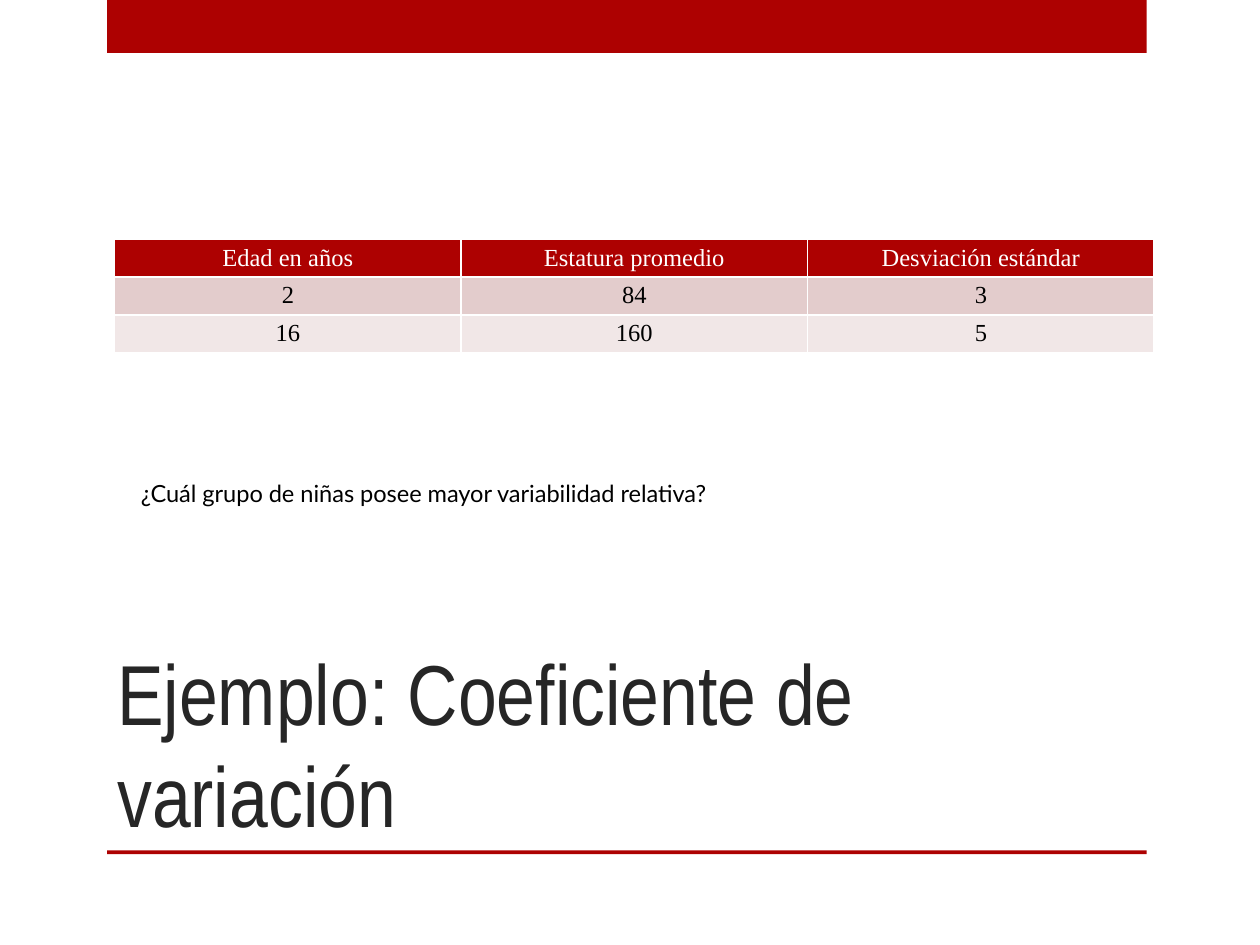
from lxml.etree import SubElement
from pptx import Presentation
from pptx.dml.color import RGBColor
from pptx.enum.shapes import MSO_SHAPE
from pptx.enum.text import MSO_ANCHOR, MSO_AUTO_SIZE, PP_ALIGN
from pptx.oxml.ns import qn
from pptx.util import Inches, Pt

WIDE, HIGH = 10, 7.5
LEFT, SPAN = 0.85, 8.25
RED, WHITE, BLACK = "AD0101", "FFFFFF", "000000"
BANDS = [RED, "E3CCCC", "F1E7E7"]
ROWS = [
    ["Edad en años", "Estatura promedio", "Desviación estándar"],
    ["2", "84", "3"],
    ["16", "160", "5"],
]


def tint(fill, color):
    fill.solid()
    fill.fore_color.rgb = RGBColor.from_string(color)


def write(frame, text, font, size, color=BLACK, align=PP_ALIGN.LEFT):
    frame.word_wrap = True
    line = frame.paragraphs[0]
    line.alignment = align
    run = line.add_run()
    run.text = text
    run.font.name = font
    run.font.size = Pt(size)
    run.font.bold = False
    tint(run.font.fill, color)


def add_bar(slide, top, tall):
    bar = slide.shapes.add_shape(
        MSO_SHAPE.RECTANGLE, Inches(LEFT), Inches(top), Inches(SPAN), Inches(tall))
    bar.shadow.inherit = False
    tint(bar.fill, RED)
    bar.line.fill.background()


def add_title(slide, text):
    title = slide.shapes.title
    title.left, title.top = Inches(0.83), Inches(HIGH * 2 / 3)
    title.width, title.height = Inches(7.42), Inches(1.75)
    frame = title.text_frame
    frame.auto_size = MSO_AUTO_SIZE.NONE
    frame.vertical_anchor = MSO_ANCHOR.BOTTOM
    write(frame, text, "Arial Narrow", 48.6, "262626")


def edge(cell):
    props = cell._tc.get_or_add_tcPr()
    for side in ("lnL", "lnR", "lnT", "lnB"):
        line = SubElement(props, qn(f"a:{side}"), w=str(Pt(1)))
        fill = SubElement(line, qn("a:solidFill"))
        SubElement(fill, qn("a:srgbClr"), val=WHITE)


def add_grid(slide, rows, left, top, tall):
    count = len(rows[0])
    grid = slide.shapes.add_table(
        len(rows), count, Inches(left), Inches(top),
        Inches(SPAN), Inches(tall * len(rows))).table
    for r, row in enumerate(rows):
        for c, text in enumerate(row):
            cell = grid.cell(r, c)
            cell.margin_left = cell.margin_right = Inches(0.07)
            cell.margin_top = cell.margin_bottom = Inches(0.04)
            edge(cell)
            tint(cell.fill, BANDS[r])
            write(cell.text_frame, text, "Times New Roman", 14,
                  BLACK if r else WHITE, PP_ALIGN.CENTER)


def add_note(slide, text, left, top, wide, tall):
    box = slide.shapes.add_textbox(
        Inches(left), Inches(top), Inches(wide), Inches(tall))
    write(box.text_frame, text, "Lato", 13.5)


def main():
    deck = Presentation()
    deck.slide_width, deck.slide_height = Inches(WIDE), Inches(HIGH)
    slide = deck.slides.add_slide(deck.slide_layouts[5])
    tint(slide.background.fill, WHITE)
    add_bar(slide, 0, 0.42)
    add_bar(slide, HIGH * 0.9, 0.03)
    add_title(slide, "Ejemplo: Coeficiente de variación")
    add_grid(slide, ROWS, 0.91, 1.9, 0.3)
    add_note(slide, "¿Cuál grupo de niñas posee mayor variabilidad relativa?",
             1.02, HIGH / 2, 7.75, 0.33)
    deck.save("out.pptx")


if __name__ == "__main__":
    main()
